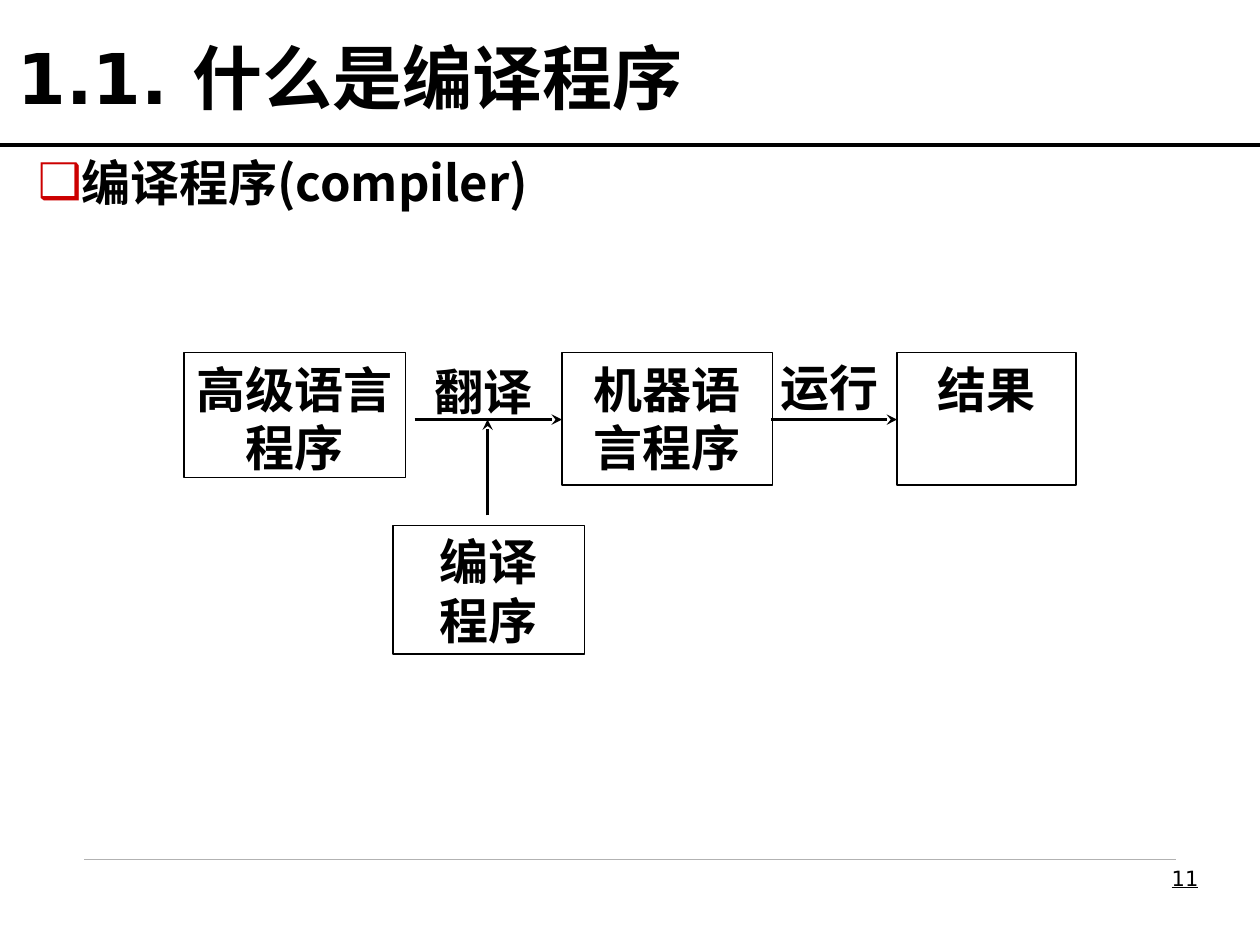
"""Build the slide that explains what a compiler is."""
from lxml import etree
from pptx import Presentation
from pptx.dml.color import RGBColor
from pptx.enum.shapes import MSO_CONNECTOR, MSO_SHAPE
from pptx.enum.text import MSO_ANCHOR, MSO_AUTO_SIZE, PP_ALIGN
from pptx.oxml.ns import qn
from pptx.util import Inches, Pt

LEFT, CENTER, RIGHT = PP_ALIGN.LEFT, PP_ALIGN.CENTER, PP_ALIGN.RIGHT
TOP, MIDDLE, BOTTOM = MSO_ANCHOR.TOP, MSO_ANCHOR.MIDDLE, MSO_ANCHOR.BOTTOM
RECTANGLE, STRAIGHT = MSO_SHAPE.RECTANGLE, MSO_CONNECTOR.STRAIGHT
NO_AUTOFIT = MSO_AUTO_SIZE.NONE

HAN, SANS, SERIF = "Noto Sans CJK SC", "DejaVu Sans", "Times New Roman"
BLACK, RED, GRAY = "000000", "CC0000", "B2B2B2"


def color(value):
    return RGBColor.from_string(value)


class SlideBuilder:
    def __init__(self, page):
        self.page = page
        self.heading = {"name": SANS, "size": Pt(40), "bold": True}
        self.strong = {"name": HAN, "size": Pt(28), "bold": True}
        self.label_style = {**self.strong, "name": SERIF}
        self.small = {"name": SANS, "size": Pt(12), "underline": True}

    def place(self, shape, area):
        for name, value in zip(("left", "top", "width", "height"), area):
            setattr(shape, name, Inches(value))

    def fill_text(self, shape, text, style, align=CENTER, anchor=TOP, wrap=True):
        frame = shape.text_frame
        layout = {"auto_size": NO_AUTOFIT, "word_wrap": wrap, "vertical_anchor": anchor}
        for name, value in layout.items():
            setattr(frame, name, value)
        frame.text = text
        for para in frame.paragraphs:
            para.alignment = align
            for span in para.runs:
                for name, value in style.items():
                    setattr(span.font, name, value)
                span.font.color.rgb = color(BLACK)
                properties = span._r.get_or_add_rPr()
                etree.SubElement(properties, qn("a:ea"), typeface=HAN)

    def title(self, text, area):
        shape = self.page.shapes.title
        self.place(shape, area)
        self.fill_text(shape, text, self.heading, LEFT, BOTTOM)

    def bullets(self, text, area):
        shape = self.page.placeholders[1]
        self.place(shape, area)
        self.fill_text(shape, text, self.strong, LEFT)
        for para in shape.text_frame.paragraphs:
            para.space_before = Pt(7)
            properties = para._p.get_or_add_pPr()
            properties.set("marL", str(Inches(0.31)))
            properties.set("indent", str(Inches(-0.31)))
            tint = etree.SubElement(properties, qn("a:buClr"))
            etree.SubElement(tint, qn("a:srgbClr"), val=RED)
            etree.SubElement(properties, qn("a:buChar"), char="❑")

    def box(self, text, area, style):
        shape = self.page.shapes.add_shape(RECTANGLE, *map(Inches, area))
        shape.shadow.inherit = False
        shape.fill.background()
        shape.line.color.rgb = color(BLACK)
        shape.line.width = Pt(0.75)
        self.fill_text(shape, text, style)

    def label(self, text, area, style, align=CENTER, anchor=MIDDLE, wrap=False):
        shape = self.page.shapes.add_textbox(*map(Inches, area))
        self.fill_text(shape, text, style, align, anchor, wrap)

    def line(self, start, end, width, tint=BLACK, arrow=False):
        shape = self.page.shapes.add_connector(STRAIGHT, *map(Inches, start + end))
        shape.line.color.rgb = color(tint)
        shape.line.width = Pt(width)
        properties = shape._element.spPr
        if arrow:
            outline = properties.find(qn("a:ln"))
            etree.SubElement(outline, qn("a:tailEnd"), type="stealth")
        etree.SubElement(properties, qn("a:effectLst"))


def main():
    deck = Presentation()
    deck.slide_width, deck.slide_height = Inches(10), Inches(7.5)
    slide = SlideBuilder(deck.slides.add_slide(deck.slide_layouts[1]))

    slide.line((0.67, 6.82), (9.33, 6.82), 0.25, GRAY)
    slide.title("1.1. 什么是编译程序", (0.04, 0.16, 8.5, 0.83))
    slide.bullets("编译程序(compiler)", (0.2, 1.16, 9.8, 1.04))
    slide.line((0, 1.15), (10, 1.15), 2.25)

    row, flow = 2.8, 3.33
    for text, area, style in (
        ("高级语言程序", (1.46, row, 1.76, 0.99), slide.strong),
        ("机器语言程序", (4.46, row, 1.67, 1.05), slide.strong),
        ("结果", (7.12, row, 1.42, 1.05), slide.label_style),
        ("编译\n程序", (3.12, 4.17, 1.52, 1.02), slide.strong),
    ):
        slide.box(text, area, style)
    for start, end in (
        ((3.29, flow), (4.46, flow)),
        ((6.12, flow), (7.12, flow)),
        ((3.87, 4.09), (3.87, flow)),
    ):
        slide.line(start, end, 2, arrow=True)
    slide.label("翻译", (3.21, row, 1.25, 0.61), slide.label_style)
    slide.label("运行", (5.96, 2.73, 1.25, 0.68), slide.label_style)
    slide.label("11", (7.44, 6.82, 2.17, 0.52), slide.small, RIGHT, TOP, True)

    deck.save("out.pptx")


if __name__ == "__main__":
    main()
